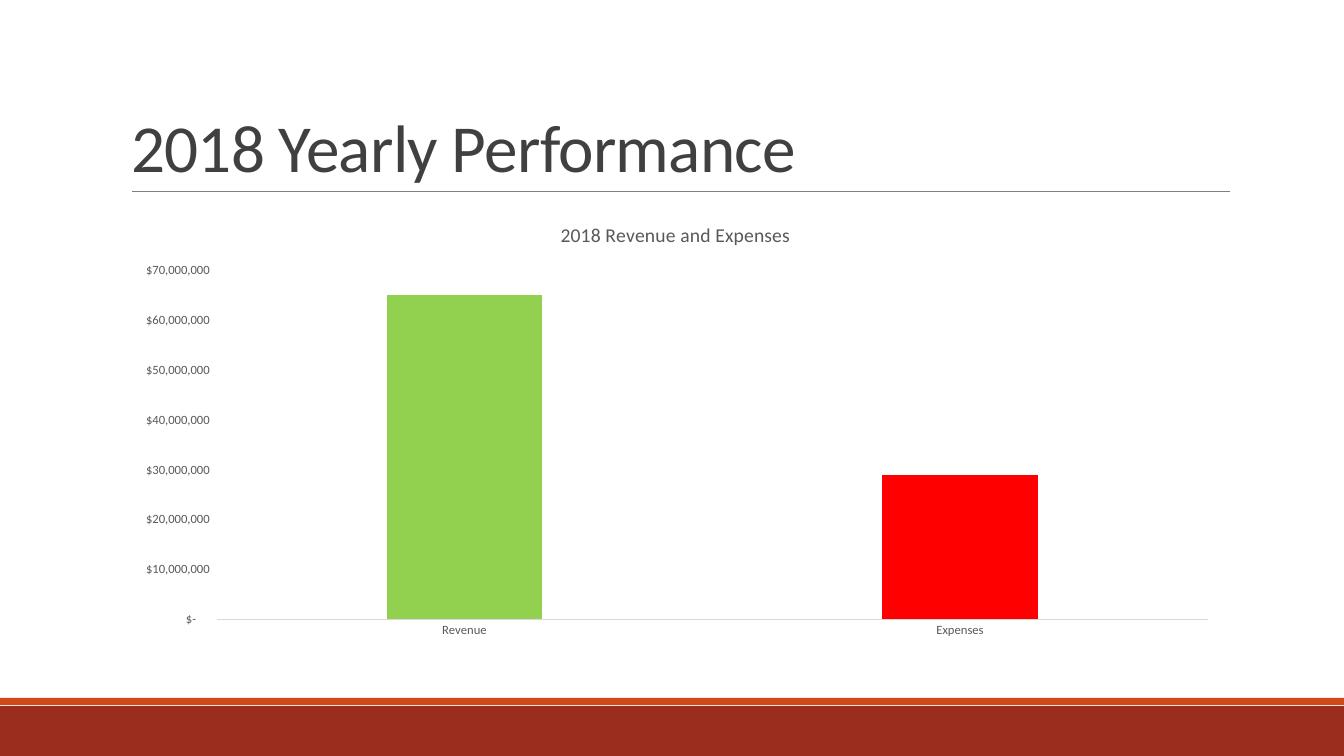
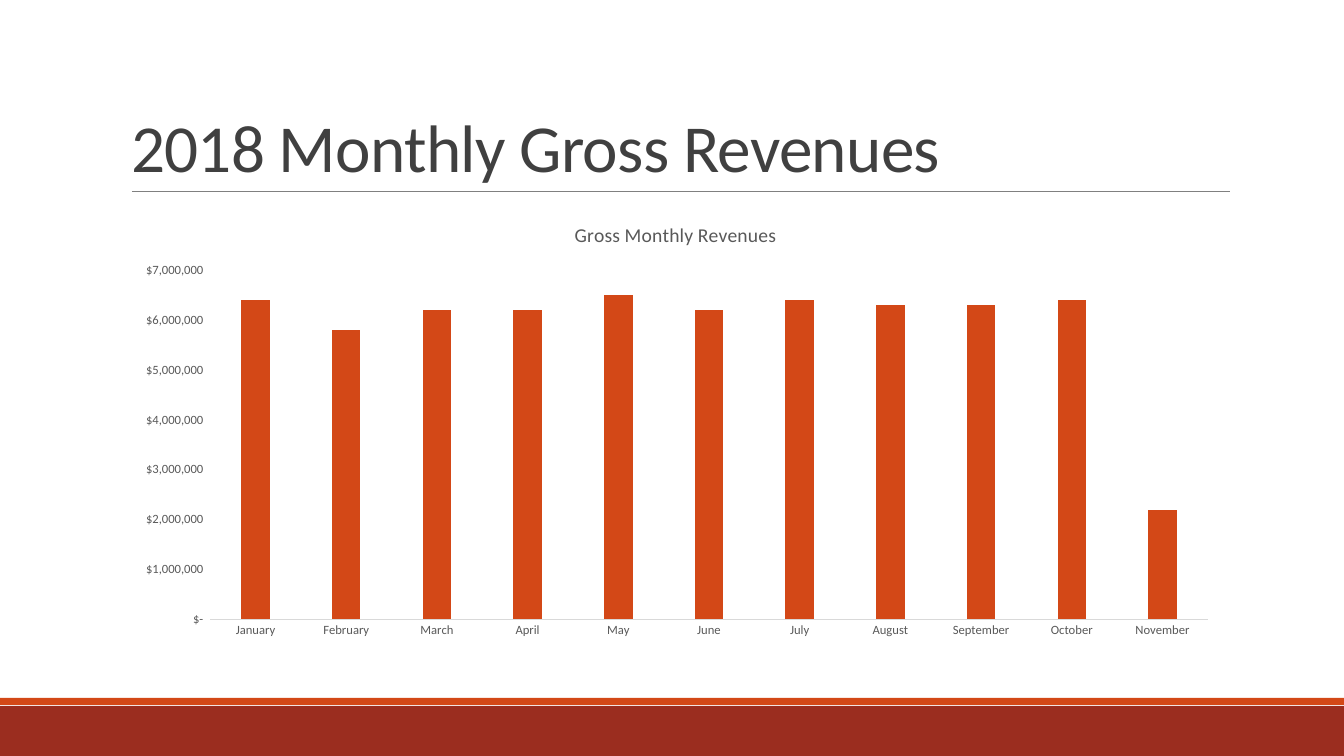
from lxml import etree
from pptx import Presentation
from pptx.chart.data import CategoryChartData
from pptx.dml.color import RGBColor
from pptx.enum.chart import XL_CHART_TYPE, XL_TICK_MARK
from pptx.enum.shapes import MSO_CONNECTOR, MSO_SHAPE
from pptx.enum.text import MSO_ANCHOR, MSO_AUTO_SIZE, PP_ALIGN
from pptx.oxml.ns import qn
from pptx.util import Pt

COLUMNS = XL_CHART_TYPE.COLUMN_CLUSTERED
NO_TICK = XL_TICK_MARK.NONE
STRAIGHT = MSO_CONNECTOR.STRAIGHT
RECTANGLE = MSO_SHAPE.RECTANGLE
BOTTOM = MSO_ANCHOR.BOTTOM
NO_FIT = MSO_AUTO_SIZE.NONE
LEFT = PP_ALIGN.LEFT

EMU_PER_PIXEL = 914400 / 100.8
WIDTH, HEIGHT = 1344, 756
TITLE_ONLY = 5
FIRST_LAYOUT_ID = 20

FONT = "Calibri"
BRICK = "9B2D1F"
ORANGE = "D34817"
RULE_GRAY = "808080"
TITLE_GRAY = "404040"
LABEL_GRAY = "595959"
AXIS_GRAY = "D9D9D9"
GREEN = "92D050"
RED = "FF0000"

TITLE_AREA = (121, 31, 1109, 160)
CHART_AREA = (121, 204, 1109, 443)
DOLLARS = '_("$"* #,##0_);_("$"* \\(#,##0\\);_("$"* "-"{}_);_(@_)'


def px(*lengths):
    """Turn pixel lengths into a list of EMU."""
    return [round(length * EMU_PER_PIXEL) for length in lengths]


def color(value):
    """Turn a hex string into a colour."""
    return RGBColor.from_string(value)


def style_font(font, size, shade):
    """Give a font the deck's typeface with a size and a colour."""
    font.name = FONT
    font.size = Pt(size)
    font.bold = False
    font.color.rgb = color(shade)


def add_band(page, top, height, shade):
    """Add a borderless band across the full slide width."""
    band = page.shapes.add_shape(RECTANGLE, *px(0, top, WIDTH, height))
    band.shadow.inherit = False
    band.fill.solid()
    band.fill.fore_color.rgb = color(shade)
    band.line.fill.background()
    return band


def add_rule(page, left, right, top):
    """Add the thin rule under the title."""
    rule = page.shapes.add_connector(STRAIGHT, *px(left, top, right, top))
    rule.line.color.rgb = color(RULE_GRAY)
    rule.line.width = Pt(0.5)
    etree.SubElement(rule.element.spPr, qn("a:effectLst"))
    return rule


def decorate_layout(page):
    """Draw the shared bands and rule and move them to the page's layout."""
    parts = [
        add_band(page, 706, 50, BRICK),
        add_band(page, 698, 7, ORANGE),
        add_rule(page, 132, 1230, 191),
    ]
    tree = page.slide_layout.shapes.element
    for index, part in enumerate(parts):
        identity = part.element.xpath(".//p:cNvPr")[0]
        identity.set("id", str(FIRST_LAYOUT_ID + index))
        tree.insert(2 + index, part.element)


def set_title(page, text):
    """Fill, place and format the title placeholder."""
    title = page.shapes.title
    title.left, title.top, title.width, title.height = px(*TITLE_AREA)
    frame = title.text_frame
    frame.text = text
    frame.word_wrap = True
    frame.auto_size = NO_FIT
    frame.vertical_anchor = BOTTOM
    para = frame.paragraphs[0]
    para.alignment = LEFT
    para.line_spacing = 0.85
    span = para.runs[0]
    style_font(span.font, 48, TITLE_GRAY)
    span.font._element.set("spc", "-50")


def style_axes(chart, number_format, maximum):
    """Format the category axis and the dollar axis."""
    for axis in (chart.category_axis, chart.value_axis):
        axis.major_tick_mark = NO_TICK
        axis.minor_tick_mark = NO_TICK
        axis.has_major_gridlines = False
        style_font(axis.tick_labels.font, 9, LABEL_GRAY)
    line = chart.category_axis.format.line
    line.color.rgb = color(AXIS_GRAY)
    line.width = Pt(0.75)
    dollars = chart.value_axis
    dollars.format.line.fill.background()
    dollars.minimum_scale = 0
    dollars.maximum_scale = maximum
    dollars.major_unit = maximum / 7
    dollars.tick_labels.number_format = number_format
    dollars.tick_labels.number_format_is_linked = False


def add_columns(page, heading, values, number_format, maximum, shades=()):
    """Add a column chart; shades recolour single columns in order."""
    data = CategoryChartData()
    data.categories = list(values)
    data.add_series("Series 1", list(values.values()))
    chart = page.shapes.add_chart(COLUMNS, *px(*CHART_AREA), data).chart
    style_font(chart.font, 10, "000000")
    chart.has_legend = False
    chart.has_title = True
    chart.chart_title.include_in_layout = False
    frame = chart.chart_title.text_frame
    frame.text = heading
    style_font(frame.paragraphs[0].runs[0].font, 14, LABEL_GRAY)
    style_axes(chart, number_format, maximum)
    plot = chart.plots[0]
    plot.gap_width = 219
    plot.overlap = -27
    plot.vary_by_categories = False
    series = plot.series[0]
    series.invert_if_negative = False
    fills = [(series.format.fill, ORANGE)]
    fills += [(series.points[i].format.fill, shade) for i, shade in enumerate(shades)]
    for fill, shade in fills:
        fill.solid()
        fill.fore_color.rgb = color(shade)


def main():
    """Build and save the deck."""
    deck = Presentation()
    deck.slide_width, deck.slide_height = px(WIDTH, HEIGHT)
    layout = deck.slide_layouts[TITLE_ONLY]

    yearly = deck.slides.add_slide(layout)
    decorate_layout(yearly)
    set_title(yearly, "2018 Yearly Performance")
    totals = {"Revenue": 65000000, "Expenses": 29000000}
    add_columns(yearly, "2018 Revenue and Expenses", totals,
                DOLLARS.format("??"), 70000000, (GREEN, RED))

    monthly = deck.slides.add_slide(layout)
    set_title(monthly, "2018 Monthly Gross Revenues")
    revenues = {
        "January": 6400000, "February": 5800000, "March": 6200000,
        "April": 6200000, "May": 6500000, "June": 6200000,
        "July": 6400000, "August": 6300000, "September": 6300000,
        "October": 6400000, "November": 2200000,
    }
    add_columns(monthly, "Gross Monthly Revenues", revenues,
                DOLLARS.format(""), 7000000)

    deck.save("out.pptx")


main()
